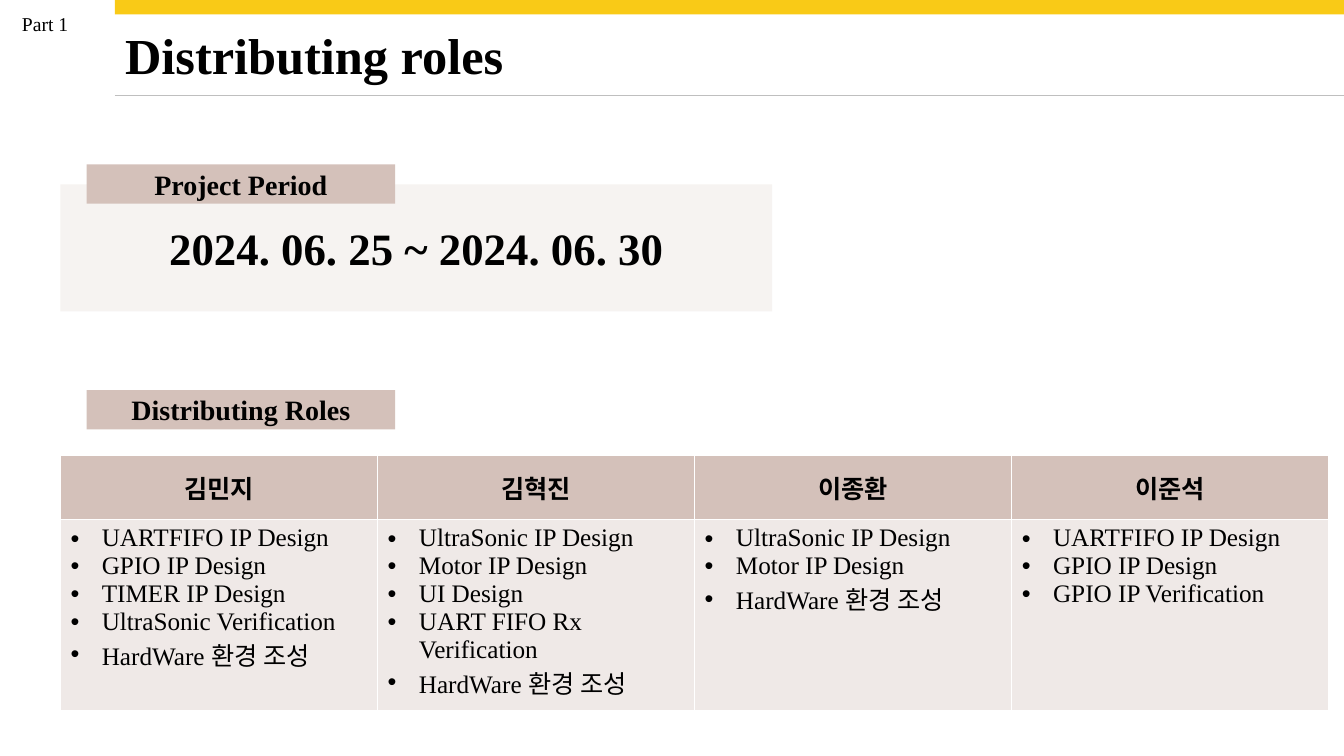
from lxml import etree
from pptx import Presentation
from pptx import util as u
from pptx.dml.color import RGBColor
from pptx.enum import shapes, text
from pptx.oxml.ns import qn

W, H = 13.33, 7.5
FONT = "Times New Roman"
COLORS = {"ink": "000000", "bar": "F9CA17", "rule": "BFBFBF",
          "label": "D4C1BA", "panel": "F6F3F1", "cell": "EFE9E7"}
LEFT, CENTER = text.PP_ALIGN.LEFT, text.PP_ALIGN.CENTER
TOP, MIDDLE = text.MSO_ANCHOR.TOP, text.MSO_ANCHOR.MIDDLE
HARDWARE = "HardWare 환경 조성"
ROLES = {
    "김민지": ["UARTFIFO IP Design", "GPIO IP Design", "TIMER IP Design",
            "UltraSonic Verification", HARDWARE],
    "김혁진": ["UltraSonic IP Design", "Motor IP Design", "UI Design",
            "UART FIFO Rx Verification", HARDWARE],
    "이종환": ["UltraSonic IP Design", "Motor IP Design", HARDWARE],
    "이준석": ["UARTFIFO IP Design", "GPIO IP Design", "GPIO IP Verification"],
}


def rgb(name):
    """Return the named colour."""
    return RGBColor.from_string(COLORS[name])


def inches(*lengths):
    """Convert lengths to inches."""
    return [u.Inches(n) for n in lengths]


def write(p, words, size, bold=False, align=LEFT):
    """Add one formatted run to a paragraph."""
    p.alignment = align
    r = p.add_run()
    r.text = words
    r.font.name, r.font.size, r.font.bold = FONT, u.Pt(size), bold
    r.font.color.rgb = rgb("ink")


def bullet(p):
    """Give a paragraph a hanging round bullet."""
    pPr = p._p.get_or_add_pPr()
    pPr.set("marL", str(u.Inches(0.31)))
    pPr.set("indent", str(-u.Inches(0.31)))
    etree.SubElement(pPr, qn("a:buFont")).set("typeface", "Arial")
    etree.SubElement(pPr, qn("a:buChar")).set("char", "•")


def block(s, box, fill, words="", size=20):
    """Draw a flat rectangle with optional bold centred text."""
    sp = s.shapes.add_shape(shapes.MSO_SHAPE.RECTANGLE, *inches(*box))
    sp.shadow.inherit = False
    sp.fill.solid()
    sp.fill.fore_color.rgb = rgb(fill)
    sp.line.fill.background()
    if words:
        tf = sp.text_frame
        tf.vertical_anchor = MIDDLE
        write(tf.paragraphs[0], words, size, True, CENTER)


def header(s, box, part, title):
    """Place the yellow bar, part number, title and rule."""
    x, y, w, h = box
    block(s, (x, y, w, 0.15 * h), "bar")

    tb = s.shapes.add_textbox(*inches(0.12, y + 0.07, 0.66, 0.34))
    tb.text_frame.word_wrap = False
    write(tb.text_frame.paragraphs[0], part, 14)

    sp = s.shapes.title
    sp.left, sp.top, sp.width, sp.height = inches(x, y + 0.2 * h, w / 2, 0.75 * h)
    tf = sp.text_frame
    tf.auto_size, tf.vertical_anchor = text.MSO_AUTO_SIZE.NONE, TOP
    write(tf.paragraphs[0], title, 36, True)

    rule = s.shapes.add_connector(shapes.MSO_CONNECTOR.STRAIGHT,
                                  *inches(x, y + h, x + w, y + h))
    rule.line.color.rgb, rule.line.width = rgb("rule"), u.Pt(0.5)
    etree.SubElement(rule._element.spPr, qn("a:effectLst"))


def label(s, x, y, words):
    """Place a section label."""
    block(s, (x + 0.26, y, 3.06, 0.39), "label", words)


def period(s, box, words):
    """Place the period panel with its label over the top edge."""
    x, y, w, h = box
    block(s, box, "panel", words, 32)
    label(s, x, y - 0.2, "Project Period")


def roles(s, box):
    """Place the roles label and a table with one column per person."""
    x, y, w, h = box
    label(s, x, y - 0.65, "Distributing Roles")
    table = s.shapes.add_table(2, len(ROLES), *inches(*box)).table
    table.horz_banding = False
    for row, share in zip(table.rows, (0.25, 0.75)):
        row.height = u.Inches(h * share)
    for i, (name, tasks) in enumerate(ROLES.items()):
        table.columns[i].width = u.Inches(w / len(ROLES))
        head, body = table.cell(0, i), table.cell(1, i)
        for cell, fill, anchor in ((head, "label", MIDDLE), (body, "cell", TOP)):
            cell.fill.solid()
            cell.fill.fore_color.rgb = rgb(fill)
            cell.vertical_anchor = anchor
        write(head.text_frame.paragraphs[0], name, 18, True, CENTER)
        tf = body.text_frame
        for j, task in enumerate(tasks):
            p = tf.add_paragraph() if j else tf.paragraphs[0]
            bullet(p)
            write(p, task, 18)


def main():
    """Build and save the slide."""
    prs = Presentation()
    prs.slide_width, prs.slide_height = inches(W, H)
    s = prs.slides.add_slide(prs.slide_layouts[5])
    header(s, (1.14, 0, W - 1.14, 0.95), "Part 1", "Distributing roles")
    period(s, (0.6, 1.83, 7.06, 1.26), "2024. 06. 25 ~ 2024. 06. 30")
    roles(s, (0.6, 4.52, 12.58, 2.53))
    prs.save("out.pptx")


if __name__ == "__main__":
    main()
